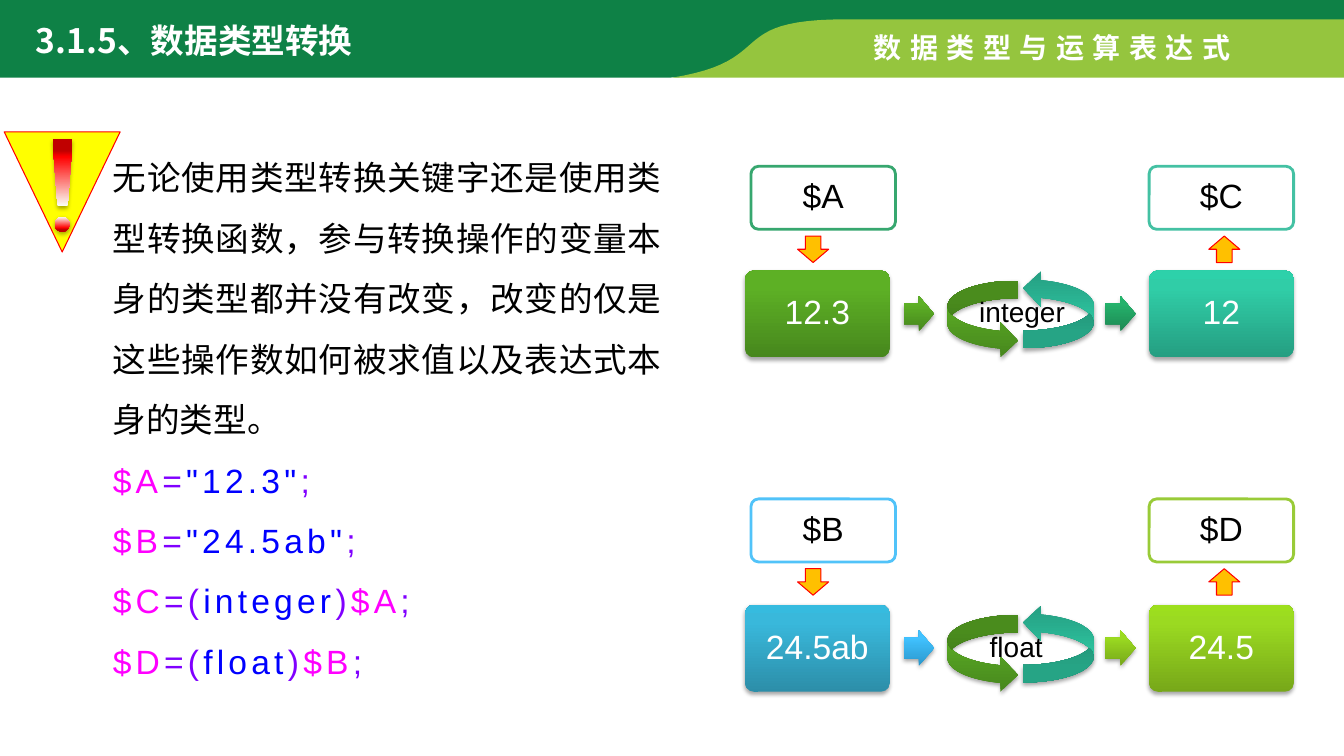
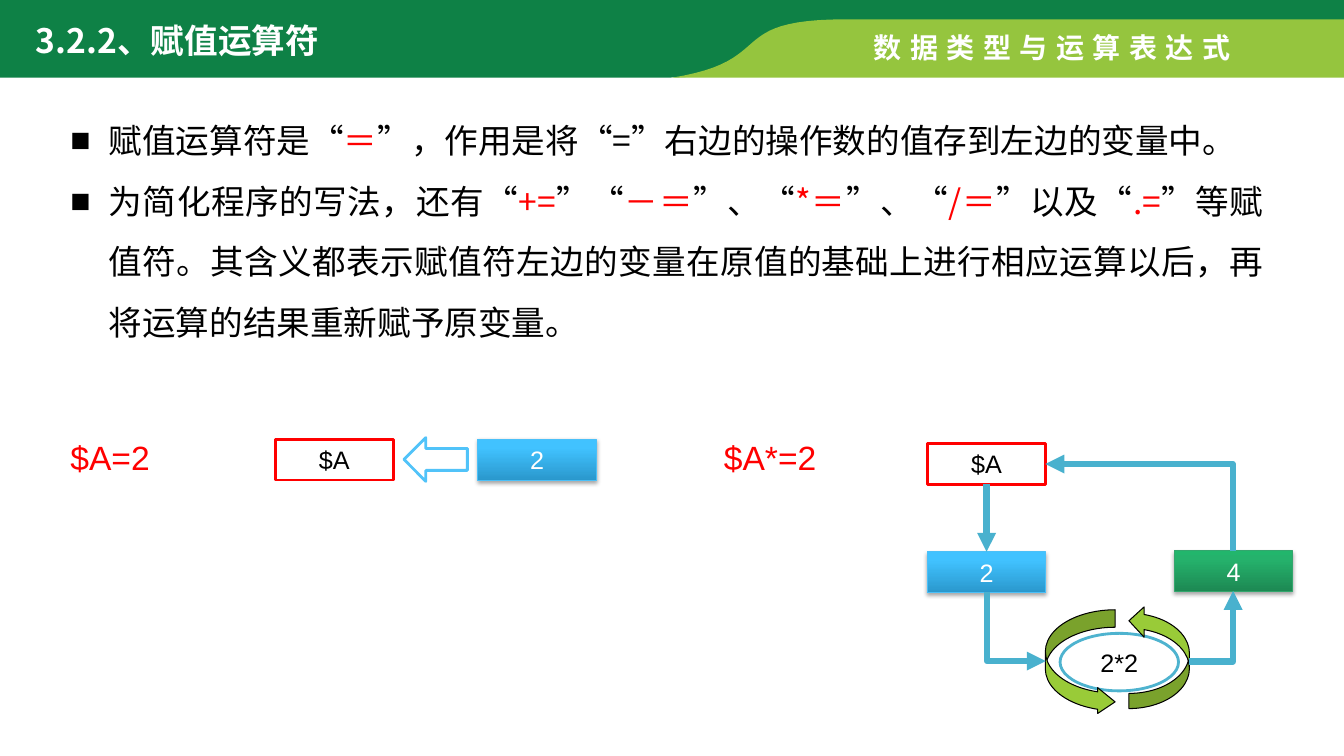
from copy import deepcopy
from lxml.etree import SubElement
from pptx import Presentation
from pptx.dml.color import RGBColor
from pptx.enum.shapes import MSO_CONNECTOR, MSO_SHAPE
from pptx.enum.text import PP_ALIGN
from pptx.oxml.ns import qn
from pptx.util import Inches, Pt

deck = Presentation()
deck.slide_width, deck.slide_height = Inches(160 / 12), Inches(90 / 12)
CELL = deck.slide_width // 160

colour = RGBColor.from_string
LATIN, HAN = "Arial", "Noto Sans CJK SC"
WHITE, BLACK, RED = "FFFFFF", "000000", "FF0000"
BAND, ACCENT, FLOW = "0E8146", "95C53E", "49B1CE"
NAME, SIGN, VALUE = "FF00FF", "8000FF", "0000FF"
GREEN = {0: "47871D", 0.8: "5DB025", 1: "5DB323"}
JADE = {0: "1D8953", 0.8: "25B26C", 1: "22B66C"}
TEAL = {0: "259E81", 0.8: "30CDA7", 1: "2DD1AA"}
CYAN = {0: "2C8EA9", 0.8: "39B8DB", 1: "36BBDF"}
SKY = {0: "2A98CD", 0.8: "41C2FF", 1: "42C2FF"}
LIME = {0: "77A819", 0.8: "9BDA21", 1: "9DDF1D"}
ALERT = {0: "FAFCF5", 0.74: "FF0000", 0.83: "C00000", 1: "C00000"}


def draw(shapes, kind, place, fill, line=None, weight=0.75, turn=0, adjust=()):
    shape = shapes.add_shape(kind, *[round(cells * CELL) for cells in place])
    shape.rotation = turn
    for index, share in enumerate(adjust):
        shape.adjustments[index] = share
    shape.shadow.inherit = False
    properties = shape._element.spPr
    if isinstance(fill, dict):
        shape.fill.gradient()
        shape.fill.gradient_angle = 90
        stops = properties.find(qn("a:gradFill")).find(qn("a:gsLst"))
        while len(stops) < len(fill):
            stops.append(deepcopy(stops[0]))
        for stop, (position, value) in zip(shape.fill.gradient_stops, fill.items()):
            stop.position = position
            stop.color.rgb = colour(value)
        shadow = SubElement(properties.find(qn("a:effectLst")), qn("a:outerShdw"),
                            blurRad=str(Pt(3.1)), dist=str(Pt(1.8)), dir="5400000", rotWithShape="0")
        black = SubElement(shadow, qn("a:srgbClr"), val=BLACK)
        SubElement(black, qn("a:alpha"), val="35000")
    else:
        shape.fill.solid()
        shape.fill.fore_color.rgb = colour(fill)
    if line:
        shape.line.color.rgb = colour(line)
        shape.line.width = Pt(weight)
    else:
        shape.line.fill.background()
    return shape


def write(shape, paragraphs, size=24, font=LATIN, align=PP_ALIGN.CENTER, leading=1.0,
          bold=False, tracking=0, wrap=True):
    frame = shape.text_frame
    frame.word_wrap = wrap
    for spans in paragraphs:
        para = frame.add_paragraph() if frame.text else frame.paragraphs[0]
        para.alignment = align
        para.line_spacing = leading
        for text, value in spans:
            span = para.add_run()
            span.text = text
            span.font.size = Pt(size)
            span.font.bold = bold
            span.font.name = font
            span.font.color.rgb = colour(value)
            settings = span._r.get_or_add_rPr()
            settings.set("lang", "zh-CN")
            settings.set("spc", str(tracking * 100))
            SubElement(settings, qn("a:ea"), typeface=HAN)


bands = [
    (BAND, [(0, 0), (160, 0), (160, 2.9), (99.2, 2.9)],
     [(97.1, 3.4), (87.2, 5.3), (92.4, 9.25), (78.6, 9.25)], [(0, 9.25)]),
    (ACCENT, [(160, 2.3), (160, 9.25)],
     [(80, 9.25), (92.8, 7.2), (86, 2.3), (100.7, 2.3)], []),
]
pages = []
for title in ("3.1.5、数据类型转换", "3.2.2、赋值运算符"):
    page = deck.slides.add_slide(deck.slide_layouts[6])
    pages.append(page)
    for fill, before, curve, after in bands:
        points = list(before)
        for step in range(25):
            t = step / 24
            weights = ((1 - t) ** 3, 3 * t * (1 - t) ** 2, 3 * t * t * (1 - t), t ** 3)
            points.append(tuple(sum(w * point[axis] for w, point in zip(weights, curve))
                                for axis in (0, 1)))
        points = [(x * CELL, y * CELL) for x, y in points + after]
        outline = page.shapes.build_freeform(*points[0])
        outline.add_line_segments(points[1:], close=True)
        band = outline.convert_to_shape()
        band.shadow.inherit = False
        band.fill.solid()
        band.fill.fore_color.rgb = colour(fill)
        band.line.fill.background()
    chapter = page.shapes.add_textbox(*[round(n * CELL) for n in (102.85, 3.1, 46.2, 5.3)])
    write(chapter, [[("数据类型与运算表达式", WHITE)]], 20, align=PP_ALIGN.LEFT,
          bold=True, tracking=6, wrap=False)
    heading = page.shapes.add_textbox(*[round(n * CELL) for n in (3.1, 1.8, 45.2, 6)])
    write(heading, [[(title, WHITE)]], font=HAN, align=PP_ALIGN.LEFT, bold=True)

conversion, assignment = pages

body = conversion.shapes.add_textbox(*[round(n * CELL) for n in (12.25, 15.7, 67.7, 66.6)])
write(body, [[("无论使用类型转换关键字还是使用类型转换函数，参与转换操作的变量本身的类型都并没有改变，"
               "改变的仅是这些操作数如何被求值以及表达式本身的类型。", BLACK)]],
      font=HAN, align=PP_ALIGN.JUSTIFY, leading=1.5)
code = [[(name, NAME), ("=", SIGN), (value, VALUE), (";", SIGN)]
        for name, value in (("$A", '"12.3"'), ("$B", '"24.5ab"'))]
code += [[(name, NAME), ("=(", SIGN), (cast, VALUE), (")", SIGN), (source, NAME), (";", SIGN)]
         for name, cast, source in (("$C", "integer", "$A"), ("$D", "float", "$B"))]
write(body, code, align=PP_ALIGN.LEFT, leading=1.5, tracking=3)

flows = [
    (19.8, 32.2, [("$A", "37A76F", "12.3", GREEN), ("$C", "44C1A3", "12", TEAL)],
     (GREEN, JADE), "integer", 115.4, 12.7),
    (59.4, 72, [("$B", "51C3F9", "24.5ab", CYAN), ("$D", "99CB38", "24.5", LIME)],
     (SKY, LIME), "float", 116.65, 8.75),
]
sides = [(89.4, 88.7, 94.95, MSO_SHAPE.DOWN_ARROW), (136.8, 136.8, 143.9, MSO_SHAPE.UP_ARROW)]
for name_top, value_top, ends, arrows, cast, cast_left, cast_width in flows:
    for (name, edge, value, fill), (name_left, value_left, arrow_left, arrow) in zip(ends, sides):
        value_box = draw(conversion.shapes, MSO_SHAPE.ROUNDED_RECTANGLE,
                         (value_left, value_top, 17.2, 10.35), fill, adjust=[0.1])
        write(value_box, [[(value, WHITE)]], leading=0.9)
        name_box = draw(conversion.shapes, MSO_SHAPE.ROUNDED_RECTANGLE,
                        (name_left, name_top, 17.2, 7.5), WHITE, edge, 2, adjust=[0.12])
        write(name_box, [[(name, BLACK)]], leading=0.9)
        draw(conversion.shapes, arrow, (arrow_left, name_top + 8.3, 3.7, 3.15), "FFC000", RED)
    for left, fill in zip((107.6, 131.6), arrows):
        draw(conversion.shapes, MSO_SHAPE.RIGHT_ARROW, (left, value_top + 3.05, 3.6, 4.2),
             fill, adjust=[0.6, 0.5])
    cycle = conversion.shapes.add_group_shape()
    for left, drop, fill, turn in ((112.8, 1.2, GREEN, 0), (121.8, 0, TEAL, 180)):
        draw(cycle.shapes, MSO_SHAPE.CURVED_RIGHT_ARROW, (left, value_top + drop, 8.4, 9.25),
             fill, turn=turn)
    cast_place = (cast_left, value_top + 2.3, cast_width, 5.3)
    cast_label = cycle.shapes.add_textbox(*[round(n * CELL) for n in cast_place])
    write(cast_label, [[(cast, BLACK)]], 20, align=PP_ALIGN.LEFT, wrap=False)

warning = conversion.shapes.add_group_shape()
draw(warning.shapes, MSO_SHAPE.ISOSCELES_TRIANGLE, (0.5, 15.7, 13.8, 14.3), "FFFF00", RED, turn=180)
for kind, place, turn in ((MSO_SHAPE.TRAPEZOID, (6.25, 16.6, 2.4, 7.9), 180),
                          (MSO_SHAPE.OVAL, (6.5, 25.8, 1.8, 1.8), 0)):
    mark = draw(warning.shapes, kind, place, ALERT, turn=turn)
    mark.fill.gradient_angle = 270

notes = assignment.shapes.add_textbox(*[round(n * CELL) for n in (7.2, 11.3, 144.4, 30.2)])
write(notes, [
    [("赋值运算符是“", BLACK), ("＝", RED),
     ("”，作用是将“=”右边的操作数的值存到左边的变量中。", BLACK)],
    [("为简化程序的写法，还有“", BLACK), ("+=", RED), ("”“", BLACK), ("－＝", RED),
     ("”、“", BLACK), ("*＝", RED), ("”、“", BLACK), ("/＝", RED), ("”以及“", BLACK),
     (".=", RED), ("”等赋值符。其含义都表示赋值符左边的变量在原值的基础上进行相应运算以后，"
                  "再将运算的结果重新赋予原变量。", BLACK)],
], font=HAN, align=PP_ALIGN.JUSTIFY, leading=1.5)
for para in notes.text_frame.paragraphs:
    settings = para._p.get_or_add_pPr()
    settings.set("marL", str(Inches(0.38)))
    settings.set("indent", str(-Inches(0.38)))
    SubElement(settings, qn("a:buFont"), typeface=LATIN)
    SubElement(settings, qn("a:buChar"), char="■")

for text, left, width in (("$A=2", 7.2, 12), ("$A*=2", 85, 13.6)):
    example = assignment.shapes.add_textbox(*[round(n * CELL) for n in (left, 51.4, width, 6)])
    write(example, [[(text, RED)]], align=PP_ALIGN.LEFT, wrap=False)

draw(assignment.shapes, MSO_SHAPE.LEFT_ARROW, (48.1, 52.1, 7.55, 5.2), WHITE, "51C3F9", 2)
boxes = []
for text, left, top, fill, edge, weight, ink in (
        ("$A", 32.75, 52.3, WHITE, RED, 2, BLACK),
        ("2", 56.9, 52.3, SKY, "4BC0F8", 0.75, WHITE),
        ("$A", 110.4, 52.8, WHITE, RED, 2, BLACK),
        ("2", 110.4, 65.7, SKY, "4BC0F8", 0.75, WHITE),
        ("4", 139.8, 65.55, JADE, "33A66D", 0.75, WHITE)):
    box = draw(assignment.shapes, MSO_SHAPE.RECTANGLE, (left, top, 14.1, 4.85), fill, edge, weight)
    write(box, [[(text, ink)]], 18)
    boxes.append(box)

product = assignment.shapes.add_group_shape()
oval = draw(product.shapes, MSO_SHAPE.OVAL, (126.2, 75.4, 14.1, 6.85), WHITE, "4EB3CF", 2)
write(oval, [[("2*2", BLACK)]], 18)
for place, turn, adjust in (((124.45, 72.6, 8.3, 12.5), 0, [0.25, 0.37, 0.25]),
                            ((134.4, 72.1, 7.2, 12.25), 180, [])):
    draw(product.shapes, MSO_SHAPE.CURVED_RIGHT_ARROW, place, "99CB38", BLACK, turn=turn, adjust=adjust)

down = assignment.shapes.add_connector(MSO_CONNECTOR.STRAIGHT, 0, 0, CELL, CELL)
down.begin_connect(boxes[2], 2)
down.end_connect(boxes[3], 0)
connectors = [down]
for left, top, width, height, turn, flip in (
        (116.9, 71.1, 8.2, 7, 270, "flipH"),
        (141.6, 70.35, 5.2, 8.4, 0, "flipV"),
        (130.45, 49.25, 10.3, 22.3, 270, "flipV")):
    corners = (left, top, left + width, top + height)
    elbow = assignment.shapes.add_connector(MSO_CONNECTOR.ELBOW, *[round(n * CELL) for n in corners])
    properties = elbow._element.spPr
    properties.find(qn("a:prstGeom")).set("prst", "bentConnector2")
    properties.find(qn("a:xfrm")).set("rot", str(turn * 60000))
    properties.find(qn("a:xfrm")).set(flip, "1")
    connectors.append(elbow)
for connector in connectors:
    connector.line.color.rgb = colour(FLOW)
    connector.line.width = Pt(4.5)
    properties = connector._element.spPr
    SubElement(properties.find(qn("a:ln")), qn("a:tailEnd"), type="triangle")
    SubElement(properties, qn("a:effectLst"))

deck.save("out.pptx")
